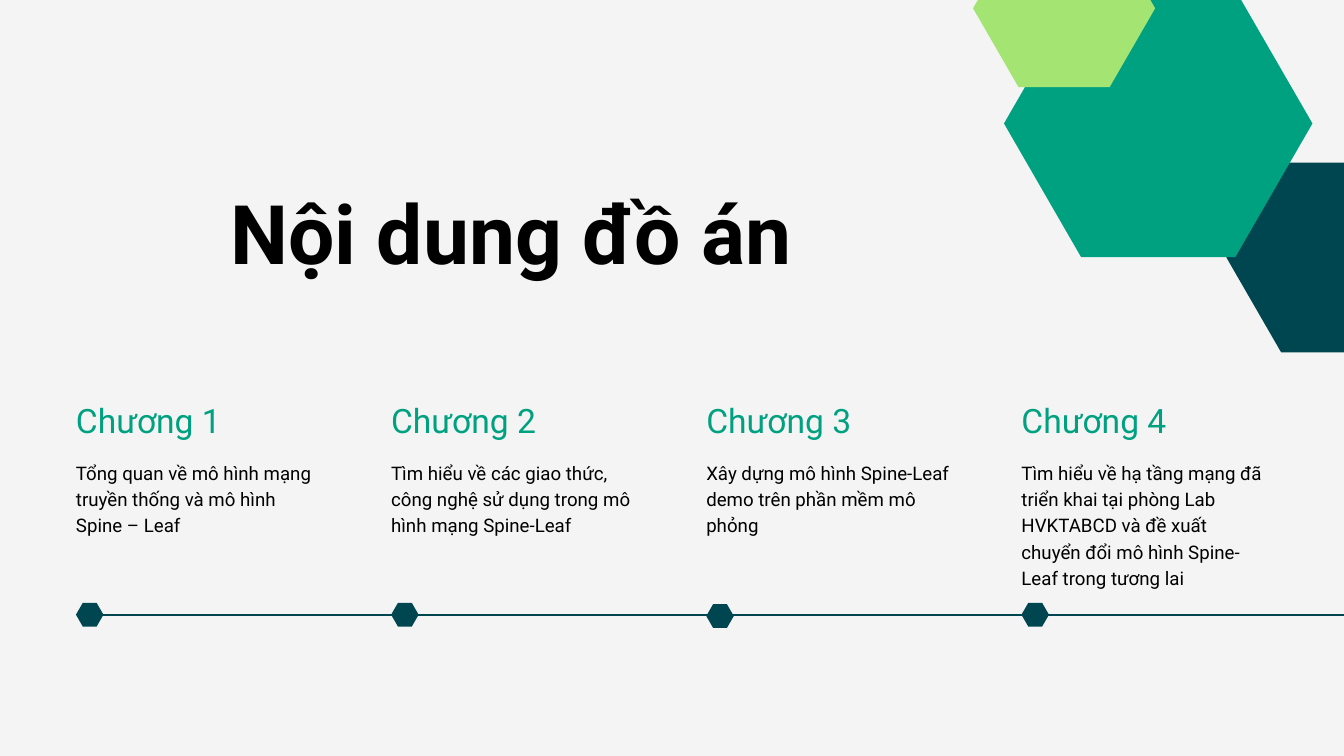
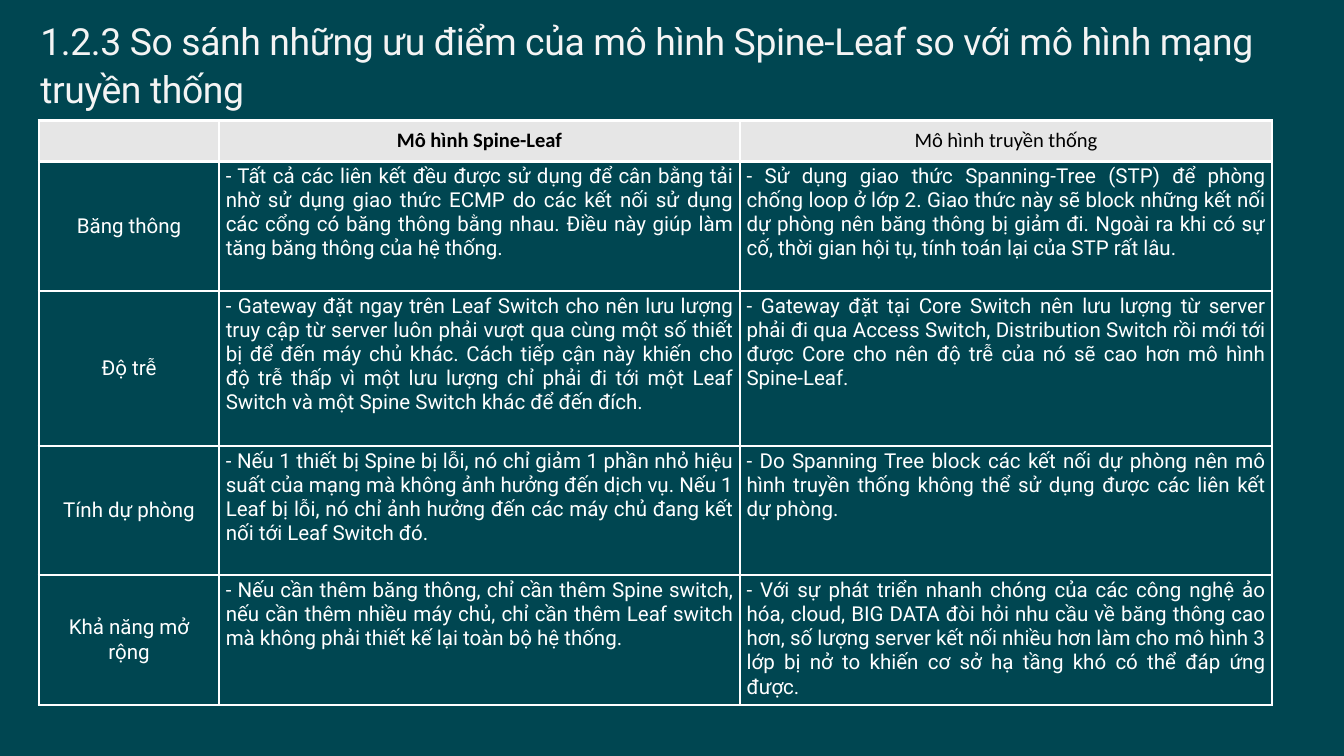
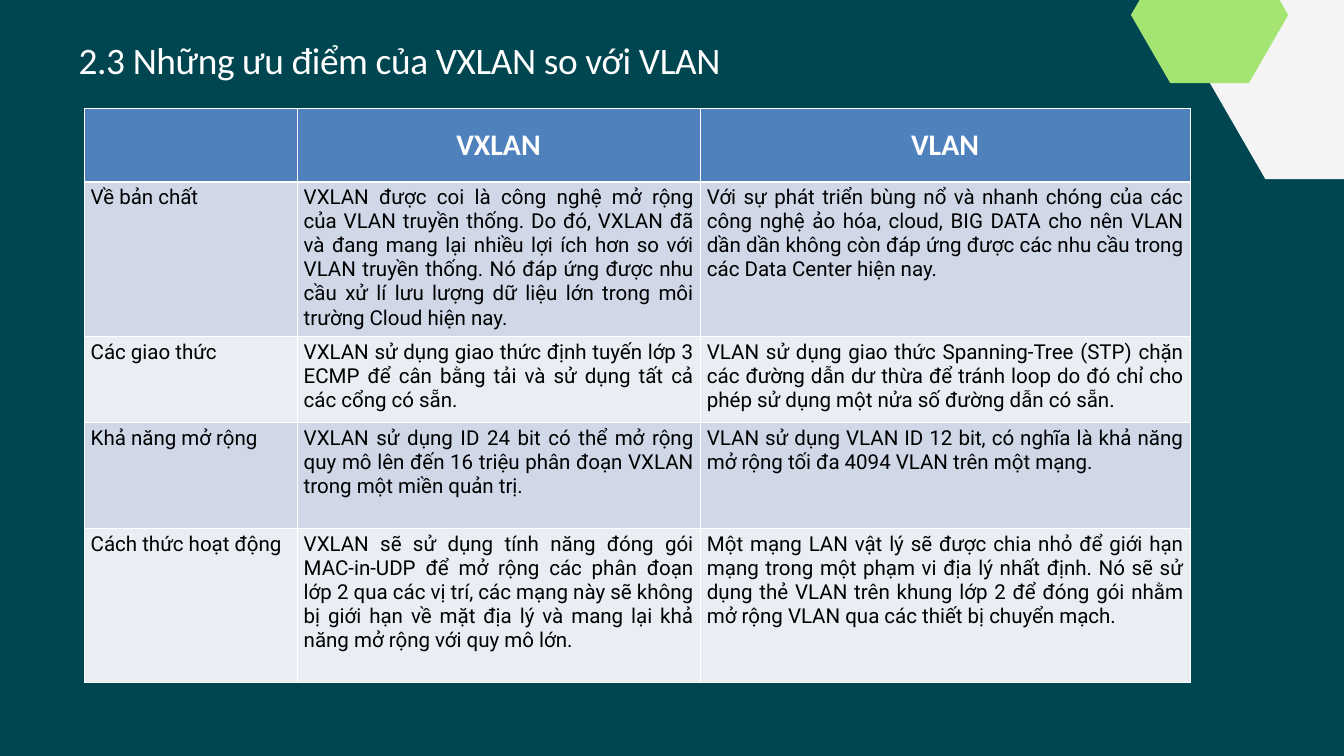
from dataclasses import dataclass

from lxml import etree
from pptx import Presentation
from pptx.dml.color import RGBColor
from pptx.enum.shapes import MSO_CONNECTOR
from pptx.enum.text import MSO_ANCHOR, MSO_AUTO_SIZE, PP_ALIGN
from pptx.oxml.ns import qn
from pptx.util import Inches, Pt

LEFT, CENTER, JUSTIFY = PP_ALIGN.LEFT, PP_ALIGN.CENTER, PP_ALIGN.JUSTIFY
TOP, MIDDLE = MSO_ANCHOR.TOP, MSO_ANCHOR.MIDDLE
FIT_SHAPE = MSO_AUTO_SIZE.SHAPE_TO_FIT_TEXT
STRAIGHT = MSO_CONNECTOR.STRAIGHT

# Palette
PAPER = RGBColor(0xF4, 0xF4, 0xF4)
NAVY = RGBColor(0x00, 0x46, 0x51)
TEAL = RGBColor(0x00, 0xA1, 0x81)
LIME = RGBColor(0xA4, 0xE4, 0x73)
WHITE = RGBColor(0xFF, 0xFF, 0xFF)
BLACK = RGBColor(0x00, 0x00, 0x00)
GREY = RGBColor(0xE6, 0xE6, 0xE6)
BLUE = RGBColor(0x4F, 0x81, 0xBD)
BAND_DARK = RGBColor(0xD0, 0xD8, 0xE8)
BAND_LIGHT = RGBColor(0xE9, 0xED, 0xF4)

ROBOTO, CALIBRI = "Roboto", "Calibri"


@dataclass(frozen=True)
class TextStyle:
    size: float
    font: str
    color: RGBColor
    bold: bool = False
    align: PP_ALIGN = LEFT
    leading: float | None = None
    tracking: float = 0


@dataclass(frozen=True)
class Hexagon:
    left: float
    top: float
    width: float
    color: RGBColor


@dataclass(frozen=True)
class Chapter:
    name: str
    summary: str
    marker_top: float = 8.97


@dataclass(frozen=True)
class TableLook:
    """Styles and fills of a comparison table; fills alternate over body rows."""
    headers: tuple[TextStyle, ...]
    label: TextStyle
    label_anchor: MSO_ANCHOR
    body: TextStyle
    header_fill: RGBColor
    row_fills: tuple[RGBColor | None, ...]
    border: float
    header_rule: float


CHAPTER_NAME = TextStyle(36, ROBOTO, TEAL, leading=43.2)
CHAPTER_SUMMARY = TextStyle(20, ROBOTO, BLACK, leading=28)
COVER_TITLE = TextStyle(88, ROBOTO, BLACK, bold=True, align=JUSTIFY)

COLUMN_LEFT, COLUMN_STEP, COLUMN_WIDTH = 1.13, 4.69, 3.68
CHAPTERS = (
    Chapter("Chương 1", "Tổng quan về mô hình mạng truyền thống và mô hình Spine – Leaf"),
    Chapter("Chương 2", "Tìm hiểu về các giao thức, công nghệ sử dụng trong mô hình mạng Spine-Leaf"),
    Chapter("Chương 3", "Xây dựng mô hình Spine-Leaf demo trên phần mềm mô phỏng", 8.99),
    Chapter("Chương 4", "Tìm hiểu về hạ tầng mạng đã triển khai tại phòng Lab HVKTABCD và đề xuất "
                        "chuyển đổi mô hình Spine-Leaf trong tương lai"),
)
CONTENT_HEXAGONS = (
    Hexagon(18.25, 2.42, 3.26, NAVY),
    Hexagon(14.94, -0.15, 4.59, TEAL),
    Hexagon(14.48, -1.05, 2.71, LIME),
)
VXLAN_HEXAGONS = (
    Hexagon(18, -0.21, 3.32, PAPER),
    Hexagon(16.83, -0.79, 2.34, LIME),
)

MODEL_LOOK = TableLook(
    headers=(TextStyle(22, CALIBRI, BLACK, bold=True, align=CENTER),
             TextStyle(22, CALIBRI, BLACK, align=CENTER)),
    label=TextStyle(22, ROBOTO, WHITE, align=CENTER),
    label_anchor=MIDDLE,
    body=TextStyle(22, ROBOTO, WHITE, align=JUSTIFY),
    header_fill=GREY, row_fills=(None,), border=3, header_rule=3,
)
MODEL_ROWS = (
    ("", "Mô hình Spine-Leaf", "Mô hình truyền thống"),
    ("Băng thông",
     "- Tất cả các liên kết đều được sử dụng để cân bằng tải nhờ sử dụng giao thức ECMP do các "
     "kết nối sử dụng các cổng có băng thông bằng nhau. Điều này giúp làm tăng băng thông của hệ thống.",
     "- Sử dụng giao thức Spanning-Tree (STP) để phòng chống loop ở lớp 2. Giao thức này sẽ block "
     "những kết nối dự phòng nên băng thông bị giảm đi. Ngoài ra khi có sự cố, thời gian hội tụ, "
     "tính toán lại của STP rất lâu."),
    ("Độ trễ",
     "- Gateway đặt ngay trên Leaf Switch cho nên lưu lượng truy cập từ server luôn phải vượt qua "
     "cùng một số thiết bị để đến máy chủ khác. Cách tiếp cận này khiến cho độ trễ thấp vì một lưu "
     "lượng chỉ phải đi tới một Leaf Switch và một Spine Switch khác để đến đích.",
     "- Gateway đặt tại Core Switch nên lưu lượng từ server phải đi qua Access Switch, Distribution "
     "Switch rồi mới tới được Core cho nên độ trễ của nó sẽ cao hơn mô hình Spine-Leaf."),
    ("Tính dự phòng",
     "- Nếu 1 thiết bị Spine bị lỗi, nó chỉ giảm 1 phần nhỏ hiệu suất của mạng mà không ảnh hưởng "
     "đến dịch vụ. Nếu 1 Leaf bị lỗi, nó chỉ ảnh hưởng đến các máy chủ đang kết nối tới Leaf Switch đó.",
     "- Do Spanning Tree block các kết nối dự phòng nên mô hình truyền thống không thể sử dụng được "
     "các liên kết dự phòng."),
    ("Khả năng mở rộng",
     "- Nếu cần thêm băng thông, chỉ cần thêm Spine switch, nếu cần thêm nhiều máy chủ, chỉ cần thêm "
     "Leaf switch mà không phải thiết kế lại toàn bộ hệ thống.",
     "- Với sự phát triển nhanh chóng của các công nghệ ảo hóa, cloud, BIG DATA đòi hỏi nhu cầu về "
     "băng thông cao hơn, số lượng server kết nối nhiều hơn làm cho mô hình 3 lớp bị nở to khiến cơ "
     "sở hạ tầng khó có thể đáp ứng được."),
)

VXLAN_LOOK = TableLook(
    headers=(TextStyle(32, CALIBRI, WHITE, bold=True, align=CENTER),) * 2,
    label=TextStyle(22, ROBOTO, BLACK),
    label_anchor=TOP,
    body=TextStyle(22, ROBOTO, BLACK, align=JUSTIFY),
    header_fill=BLUE, row_fills=(BAND_DARK, BAND_LIGHT), border=1, header_rule=3,
)
VXLAN_ROWS = (
    ("", "VXLAN", "VLAN"),
    ("Về bản chất",
     "VXLAN được coi là công nghệ mở rộng của VLAN truyền thống. Do đó, VXLAN đã và đang mang lại "
     "nhiều lợi ích hơn so với VLAN truyền thống. Nó đáp ứng được nhu cầu xử lí lưu lượng dữ liệu "
     "lớn trong môi trường Cloud hiện nay.",
     "Với sự phát triển bùng nổ và nhanh chóng của các công nghệ ảo hóa, cloud, BIG DATA cho nên "
     "VLAN dần dần không còn đáp ứng được các nhu cầu trong các Data Center hiện nay."),
    ("Các giao thức",
     "VXLAN sử dụng giao thức định tuyến lớp 3 ECMP để cân bằng tải và sử dụng tất cả các cổng có sẵn.",
     "VLAN sử dụng giao thức Spanning-Tree (STP) chặn các đường dẫn dư thừa để tránh loop do đó chỉ "
     "cho phép sử dụng một nửa số đường dẫn có sẵn."),
    ("Khả năng mở rộng",
     "VXLAN sử dụng ID 24 bit có thể mở rộng quy mô lên đến 16 triệu phân đoạn VXLAN trong một miền quản trị.",
     "VLAN sử dụng VLAN ID 12 bit, có nghĩa là khả năng mở rộng tối đa 4094 VLAN trên một mạng."),
    ("Cách thức hoạt động",
     "VXLAN sẽ sử dụng tính năng đóng gói MAC-in-UDP để mở rộng các phân đoạn lớp 2 qua các vị trí, "
     "các mạng này sẽ không bị giới hạn về mặt địa lý và mang lại khả năng mở rộng với quy mô lớn.",
     "Một mạng LAN vật lý sẽ được chia nhỏ để giới hạn mạng trong một phạm vi địa lý nhất định. Nó sẽ "
     "sử dụng thẻ VLAN trên khung lớp 2 để đóng gói nhằm mở rộng VLAN qua các thiết bị chuyển mạch."),
)


def write(tf, text: str, style: TextStyle) -> None:
    p = tf.paragraphs[0]
    p.alignment = style.align
    if style.leading:
        p.line_spacing = Pt(style.leading)
    p.font.size = Pt(style.size)
    p.font.name = style.font
    p.font.bold = style.bold
    p.font.color.rgb = style.color
    if text:
        r = p.add_run()
        r.text = text
        if style.tracking:
            r._r.get_or_add_rPr().set("spc", str(round(style.tracking * 100)))


def add_text(s, text: str, style: TextStyle, left: float, top: float,
             width: float, height: float, inset: bool = False) -> None:
    box = s.shapes.add_textbox(Inches(left), Inches(top), Inches(width), Inches(height))
    tf = box.text_frame
    tf.word_wrap = True
    tf.auto_size = FIT_SHAPE
    if not inset:
        tf.margin_left = tf.margin_right = tf.margin_top = tf.margin_bottom = 0
    write(tf, text, style)


def add_hexagon(s, hexagon: Hexagon) -> None:
    """Regular hexagon with flat top and bottom sides."""
    x, y, w = hexagon.left, hexagon.top, hexagon.width
    h = w * 3 ** 0.5 / 2
    corners = [(x + w * fx, y + h * fy) for fx, fy in
               ((1, 0.5), (0.75, 1), (0.25, 1), (0, 0.5), (0.25, 0), (0.75, 0))]
    points = [(Inches(px), Inches(py)) for px, py in corners]
    builder = s.shapes.build_freeform(*points[0])
    builder.add_line_segments(points[1:], close=True)
    sp = builder.convert_to_shape()
    sp.shadow.inherit = False
    sp.fill.solid()
    sp.fill.fore_color.rgb = hexagon.color
    sp.line.fill.background()


def set_borders(cell, widths: dict[str, float]) -> None:
    tc_pr = cell._tc.get_or_add_tcPr()
    for side, width in widths.items():
        ln = etree.SubElement(tc_pr, qn(f"a:{side}"), w=str(Pt(width)))
        fill = etree.SubElement(ln, qn("a:solidFill"))
        etree.SubElement(fill, qn("a:srgbClr"), val=str(WHITE))


def add_comparison(s, rows: tuple, look: TableLook, left: float, top: float,
                   widths: tuple[float, ...], heights: tuple[float, ...]) -> None:
    frame = s.shapes.add_table(len(rows), len(widths), Inches(left), Inches(top),
                               Inches(sum(widths)), Inches(sum(heights)))
    table = frame.table
    table.first_row = table.horz_banding = False
    for column, width in zip(table.columns, widths):
        column.width = Inches(width)
    for i, (row, height) in enumerate(zip(rows, heights)):
        table.rows[i].height = Inches(height)
        for j, text in enumerate(row):
            cell = table.cell(i, j)
            set_borders(cell, {
                "lnL": look.border, "lnR": look.border,
                "lnT": look.header_rule if i == 1 else look.border,
                "lnB": look.header_rule if i == 0 else look.border,
            })
            if i == 0:
                style, anchor, fill = look.headers[max(j - 1, 0)], MIDDLE, look.header_fill
            else:
                style, anchor = (look.body, TOP) if j else (look.label, look.label_anchor)
                fill = look.row_fills[(i - 1) % len(look.row_fills)]
            if fill is None:
                cell.fill.background()
            else:
                cell.fill.solid()
                cell.fill.fore_color.rgb = fill
            cell.vertical_anchor = anchor
            write(cell.text_frame, text, style)


def add_slide(prs, background: RGBColor):
    s = prs.slides.add_slide(prs.slide_layouts[6])
    s.background.fill.solid()
    s.background.fill.fore_color.rgb = background
    return s


def contents_slide(prs) -> None:
    s = add_slide(prs, PAPER)
    # Timeline
    line = s.shapes.add_connector(STRAIGHT, Inches(1.39), Inches(9.15), Inches(20), Inches(9.15))
    line.line.color.rgb = NAVY
    line.line.width = Pt(1.5)
    etree.SubElement(line._element.spPr, qn("a:effectLst"))
    # Chapters
    for i, chapter in enumerate(CHAPTERS):
        left = COLUMN_LEFT + i * COLUMN_STEP
        add_text(s, chapter.name, CHAPTER_NAME, left, 5.95, COLUMN_WIDTH, 0.59)
        add_text(s, chapter.summary, CHAPTER_SUMMARY, left, 6.82, COLUMN_WIDTH, 1.53)
        add_hexagon(s, Hexagon(left, chapter.marker_top, 0.41, NAVY))
    # Corner decoration and title
    for hexagon in CONTENT_HEXAGONS:
        add_hexagon(s, hexagon)
    add_text(s, "Nội dung đồ án", COVER_TITLE, 3.33, 2.67, 9.42, 1.58, inset=True)


def models_slide(prs) -> None:
    s = add_slide(prs, NAVY)
    add_comparison(s, MODEL_ROWS, MODEL_LOOK, 0.58, 1.79,
                   (2.68, 7.75, 7.92), (0.61, 1.93, 2.31, 1.92, 1.93))
    title = TextStyle(40, ROBOTO, PAPER, leading=52, tracking=-0.4)
    add_text(s, "1.2.3 So sánh những ưu điểm của mô hình Spine-Leaf so với mô hình mạng truyền thống",
             title, 0.6, 0.21, 18.33, 2.19)


def vxlan_slide(prs) -> None:
    s = add_slide(prs, NAVY)
    for hexagon in VXLAN_HEXAGONS:
        add_hexagon(s, hexagon)
    title = TextStyle(40, CALIBRI, WHITE, leading=43.2, tracking=-0.4)
    add_text(s, "2.3 Những ưu điểm của VXLAN so với VLAN", title, 1.17, 0.62, 11.79, 1.21)
    add_comparison(s, VXLAN_ROWS, VXLAN_LOOK, 1.25, 1.62,
                   (3.17, 6, 7.29), (1.09, 2.3, 1.28, 1.58, 2.29))


def main() -> None:
    prs = Presentation()
    prs.slide_width, prs.slide_height = Inches(20), Inches(11.25)
    contents_slide(prs)
    models_slide(prs)
    vxlan_slide(prs)
    prs.save("out.pptx")


if __name__ == "__main__":
    main()
